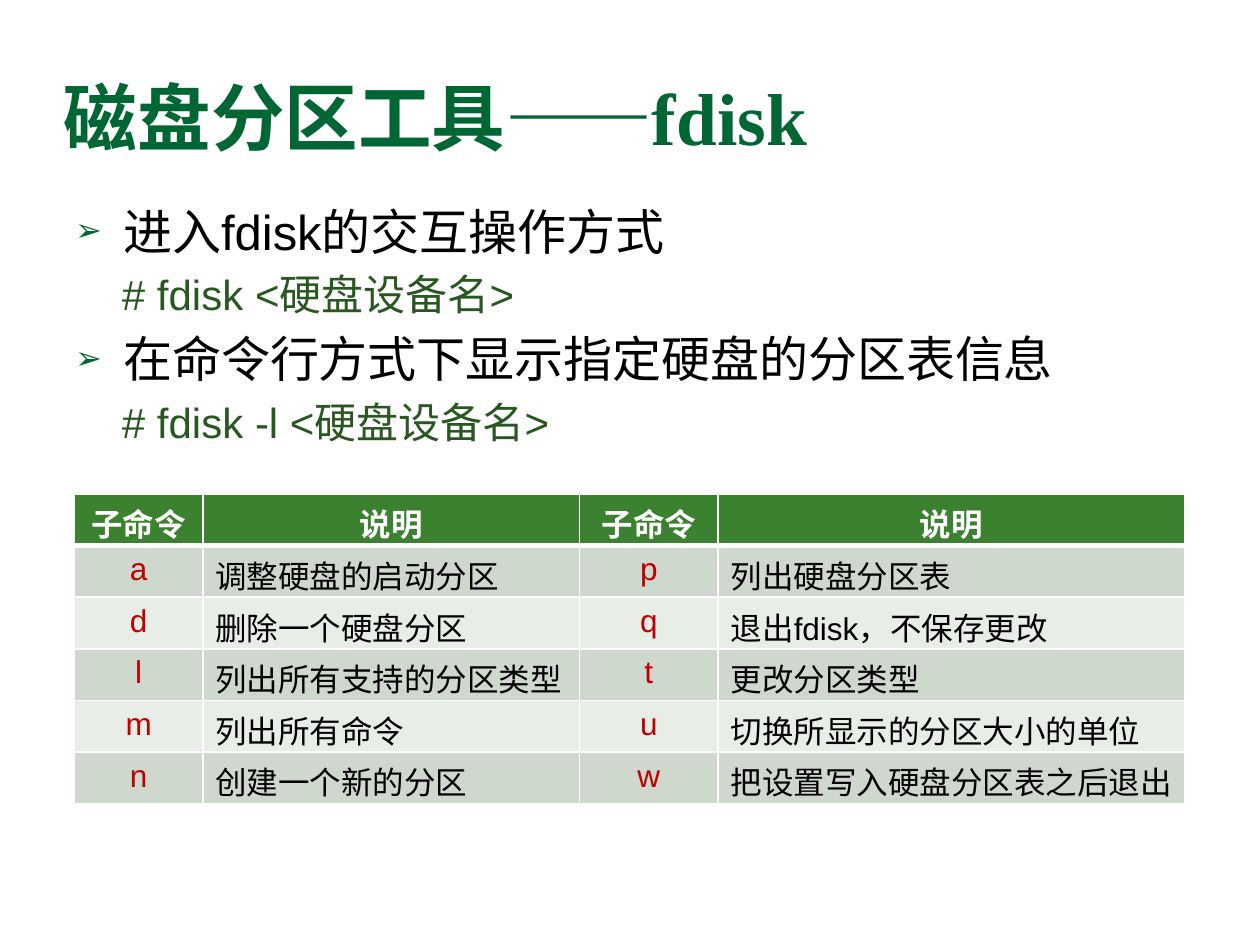
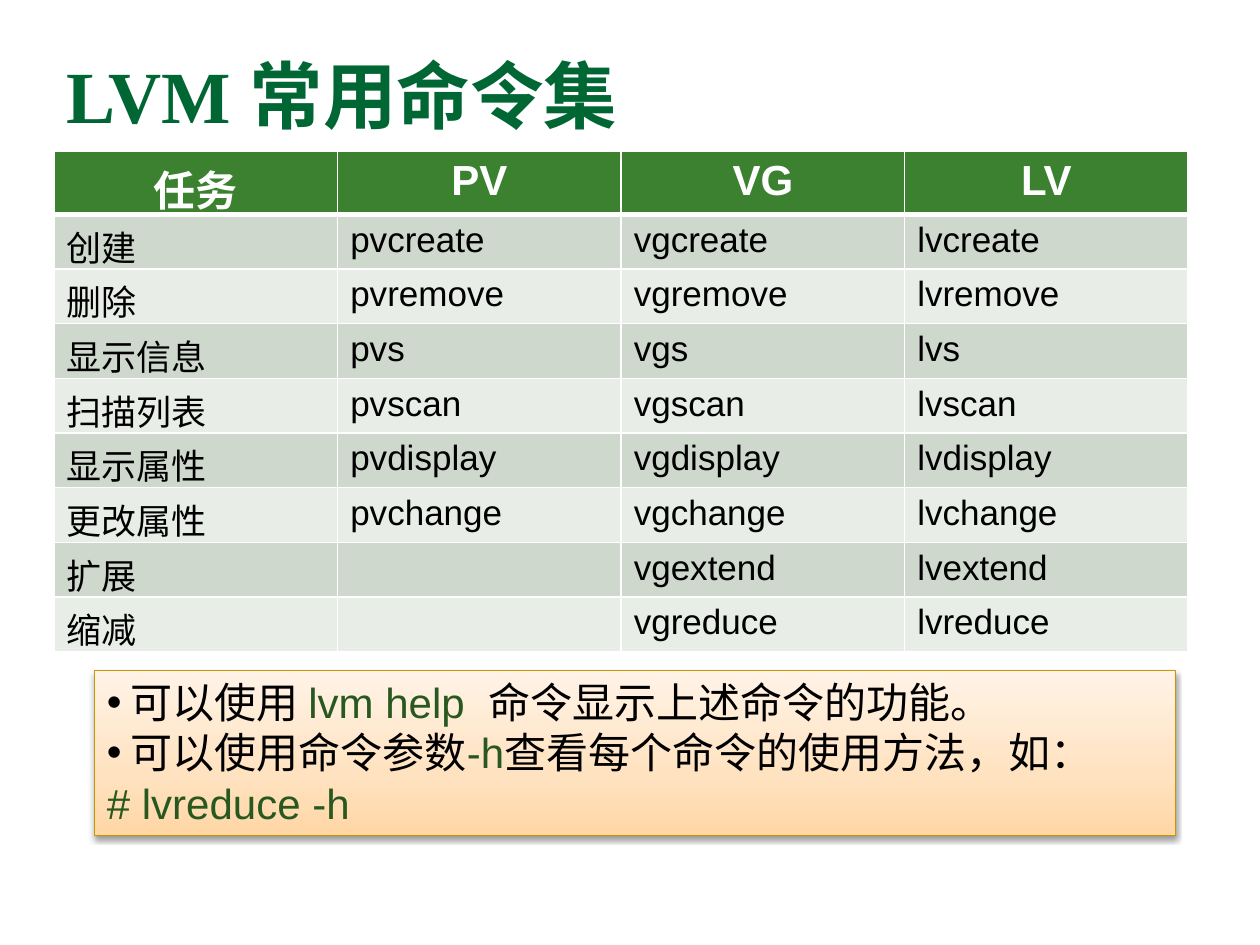
from dataclasses import dataclass
from typing import Any

from pptx import Presentation
from pptx.dml.color import RGBColor
from pptx.enum.shapes import MSO_SHAPE as Shape
from pptx.enum.text import MSO_ANCHOR as Anchor, PP_ALIGN as Align
from pptx.oxml import parse_xml
from pptx.util import Inches, Pt

NS = 'xmlns:a="http://schemas.openxmlformats.org/drawingml/2006/main"'
SANS, SERIF = "Arial", "Times New Roman"
GREEN, CODE, RED = "006633", "285720", "C00000"
BLACK, WHITE, GOLD = "000000", "FFFFFF", "C89600"
HEAD, BANDS = "3B812F", ("CED8CD", "E8EDE8")
ROW = 0.41


@dataclass
class Box:
    """A frame in inches."""
    x: float
    y: float
    w: float
    h: float

    def emu(self) -> tuple:
        """Give the four lengths for a shape call."""
        return tuple(Inches(v) for v in (self.x, self.y, self.w, self.h))


@dataclass
class Style:
    """How a run of text looks."""
    size: float
    color: str = BLACK
    bold: bool = False
    font: str = SANS


@dataclass
class Grid:
    """A table: its frame, columns, rows and text styles."""
    box: Box
    cols: list[float]
    rows: list[list[str]]
    head: Style
    body: Style
    keys: tuple[int, ...] = ()


TITLE = Style(42, GREEN, True, SERIF)
TEXT, CMD = Style(28), Style(24, CODE)
NOTE = Style(24)

FDISK = Grid(
    Box(0.59, 3.92, 8.82, 2.43), [1.02, 2.99, 1.1, 3.7],
    [["子命令", "说明", "子命令", "说明"],
     ["a", "调整硬盘的启动分区", "p", "列出硬盘分区表"],
     ["d", "删除一个硬盘分区", "q", "退出fdisk，不保存更改"],
     ["l", "列出所有支持的分区类型", "t", "更改分区类型"],
     ["m", "列出所有命令", "u", "切换所显示的分区大小的单位"],
     ["n", "创建一个新的分区", "w", "把设置写入硬盘分区表之后退出"]],
    Style(18, WHITE, True), Style(18), keys=(0, 2))

TASKS = [("创建", "create"), ("删除", "remove"), ("显示信息", "s"),
         ("扫描列表", "scan"), ("显示属性", "display"), ("更改属性", "change"),
         ("扩展", "extend"), ("缩减", "reduce")]
NO_PV = ("extend", "reduce")


def lvm_row(task: str, verb: str) -> list[str]:
    """Name the PV, VG and LV commands of one task."""
    pv = "" if verb in NO_PV else "pv" + verb
    return [task, pv, "vg" + verb, "lv" + verb]


LVM = Grid(
    Box(0.43, 1.2, 9, 3.97), [2.25] * 4,
    [["任务", "PV", "VG", "LV"]] + [lvm_row(*t) for t in TASKS],
    Style(24, WHITE, True), Style(20))


def rgb(code: str) -> RGBColor:
    """Turn a hex string into a colour."""
    return RGBColor.from_string(code)


def add_run(para: Any, text: str, style: Style) -> None:
    """Add one run in a style."""
    run = para.add_run()
    run.text = text
    font = run.font
    font.name, font.size, font.bold = style.font, Pt(style.size), style.bold
    font.color.rgb = rgb(style.color)


def bullet(para: Any, char: str, color: str = "", size: int = 100) -> None:
    """Put a bullet before a paragraph."""
    props = para._p.get_or_add_pPr()
    if color:
        props.append(parse_xml(
            f'<a:buClr {NS}><a:srgbClr val="{color}"/></a:buClr>'))
    props.append(parse_xml(f'<a:buSzPct {NS} val="{size * 1000}"/>'))
    props.append(parse_xml(f'<a:buFont {NS} typeface="{SANS}"/>'))
    props.append(parse_xml(f'<a:buChar {NS} char="{char}"/>'))


def indent(para: Any, left: float, first: float) -> None:
    """Set the left margin and the first line's offset."""
    props = para._p.get_or_add_pPr()
    props.set("marL", str(Inches(left)))
    props.set("indent", str(Inches(first)))


def add_box(slide: Any, box: Box) -> Any:
    """Add a wrapping text box and give its text frame."""
    frame = slide.shapes.add_textbox(*box.emu()).text_frame
    frame.word_wrap = True
    frame.vertical_anchor = Anchor.TOP
    return frame


def add_title(slide: Any, text: str, box: Box) -> None:
    """Add the slide title."""
    add_run(add_box(slide, box).paragraphs[0], text, TITLE)


def add_list(slide: Any, box: Box, items: list[tuple[str, str]]) -> None:
    """Add bulleted points, each followed by its command."""
    frame = add_box(slide, box)
    para = frame.paragraphs[0]
    for num, (point, cmd) in enumerate(items):
        if num:
            para = frame.add_paragraph()
        sub = frame.add_paragraph()
        for line, text, style in ((para, point, TEXT), (sub, cmd, CMD)):
            line.space_before = Pt(style.size * 0.2)
            line.line_spacing = Pt(style.size * 1.2)
            add_run(line, text, style)
        indent(para, 0.38, -0.38)
        bullet(para, "➢", GREEN, 65)
        indent(sub, 0.73, -0.36)


def edge(cell: Any, top: int, base: int) -> None:
    """Draw white borders round a cell, widths in points."""
    props = cell._tc.get_or_add_tcPr()
    for side, width in (("L", 1), ("R", 1), ("T", top), ("B", base)):
        props.append(parse_xml(
            f'<a:ln{side} {NS} w="{Pt(width)}"><a:solidFill>'
            f'<a:srgbClr val="{WHITE}"/></a:solidFill></a:ln{side}>'))


def add_grid(slide: Any, grid: Grid) -> None:
    """Add a table with a header and banded rows."""
    shape = slide.shapes.add_table(
        len(grid.rows), len(grid.cols), *grid.box.emu())
    table = shape.table
    table.horz_banding = False
    for col, width in zip(table.columns, grid.cols):
        col.width = Inches(width)
    key = Style(grid.body.size, RED)
    for r, texts in enumerate(grid.rows):
        table.rows[r].height = Inches(ROW)
        for c, text in enumerate(texts):
            cell = table.cell(r, c)
            edge(cell, 3 if r == 1 else 1, 1 if r else 3)
            cell.fill.solid()
            cell.fill.fore_color.rgb = rgb(BANDS[(r - 1) % 2] if r else HEAD)
            para = cell.text_frame.paragraphs[0]
            if r == 0 or c in grid.keys:
                para.alignment = Align.CENTER
            style = key if c in grid.keys else grid.body
            if text:
                add_run(para, text, style if r else grid.head)
    shape.height = Inches(grid.box.h)


def add_note(slide: Any, box: Box, lines: list[list[tuple]]) -> None:
    """Add the shaded note; lines of several runs get a bullet."""
    shape = slide.shapes.add_shape(Shape.RECTANGLE, *box.emu())
    shape.fill.gradient()
    shape.fill.gradient_angle = 90
    stops = shape._element.spPr.find(".//{*}gsLst")
    for stop in list(stops):
        stops.remove(stop)
    for pos, code in ((0, "FFD6A5"), (35, "FFE2BF"), (100, "FFF3E7")):
        stops.append(parse_xml(
            f'<a:gs {NS} pos="{pos * 1000}"><a:srgbClr val="{code}"/></a:gs>'))
    shape.line.color.rgb = rgb(GOLD)
    shape.line.width = Pt(0.75)
    shape._element.spPr.append(parse_xml(
        f'<a:effectLst {NS}><a:outerShdw blurRad="{Pt(3.1)}" '
        f'dist="{Pt(1.6)}" dir="5400000" rotWithShape="0">'
        f'<a:srgbClr val="{BLACK}"><a:alpha val="38000"/></a:srgbClr>'
        '</a:outerShdw></a:effectLst>'))
    frame = shape.text_frame
    frame.word_wrap = True
    frame.vertical_anchor = Anchor.TOP
    for num, runs in enumerate(lines):
        para = frame.add_paragraph() if num else frame.paragraphs[0]
        para.alignment = Align.LEFT
        para.line_spacing = Pt(NOTE.size * 1.2)
        if len(runs) > 1:
            bullet(para, "•")
        for text, style in runs:
            add_run(para, text, style)


def main() -> None:
    """Build and save both slides."""
    deck = Presentation()
    deck.slide_width, deck.slide_height = Inches(10), Inches(7.5)
    blank = deck.slide_layouts[6]

    slide = deck.slides.add_slide(blank)
    add_title(slide, "磁盘分区工具——fdisk", Box(0.41, 0.52, 9, 0.81))
    add_list(slide, Box(0.5, 1.55, 9, 2.13), [
        ("进入fdisk的交互操作方式", "# fdisk <硬盘设备名>"),
        ("在命令行方式下显示指定硬盘的分区表信息", "# fdisk -l <硬盘设备名>")])
    add_grid(slide, FDISK)

    slide = deck.slides.add_slide(blank)
    add_title(slide, "LVM 常用命令集", Box(0.43, 0.35, 9, 1.25))
    add_note(slide, Box(0.75, 5.32, 8.58, 1.31), [
        [(" 可以使用 ", NOTE), ("lvm help  ", CMD),
         ("命令显示上述命令的功能。", NOTE)],
        [(" 可以使用命令参数", NOTE), ("-h", CMD),
         ("查看每个命令的使用方法，如：", NOTE)],
        [("# lvreduce -h", CMD)]])
    add_grid(slide, LVM)
    deck.save("out.pptx")


main()
